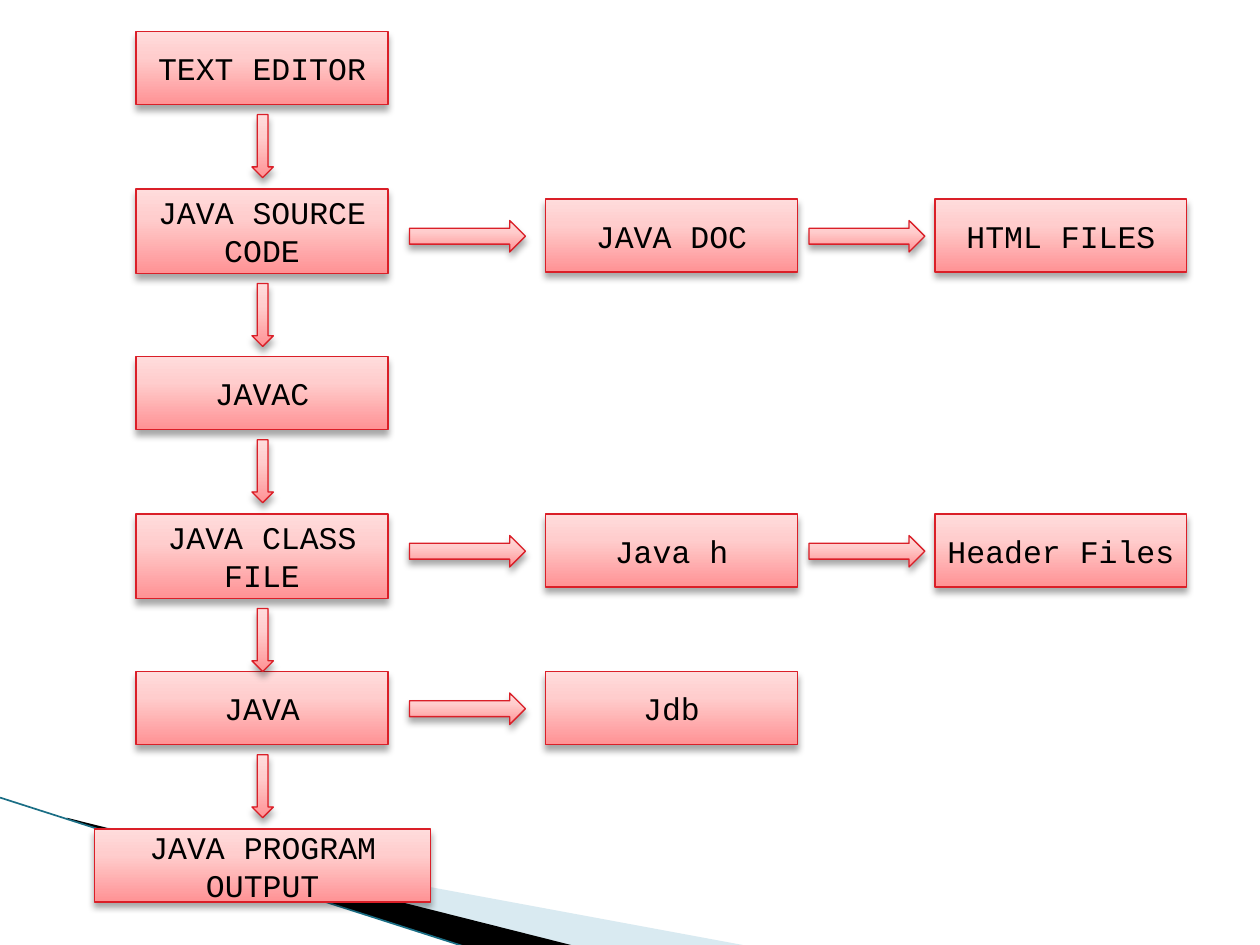
from copy import deepcopy

from lxml import etree
from pptx import Presentation
from pptx.dml.color import RGBColor
from pptx.enum.shapes import MSO_CONNECTOR, MSO_SHAPE
from pptx.enum.text import MSO_ANCHOR, PP_ALIGN
from pptx.oxml.ns import qn
from pptx.util import Inches, Pt

BLACK = RGBColor(0x00, 0x00, 0x00)
PALE_BLUE = RGBColor(0xA0, 0xCB, 0xDC)
TEAL = RGBColor(0x1A, 0x6E, 0x85)
RED = RGBColor(0xDA, 0x1F, 0x28)
PINK_STOPS = [
    (0, RGBColor(0xFF, 0x92, 0x94)),
    (0.65, RGBColor(0xFF, 0xCD, 0xCD)),
    (1, RGBColor(0xFF, 0xDC, 0xDC)),
]

BOX_WIDTH, BOX_HEIGHT, TALL_HEIGHT = 2, 0.58, 0.67
MAIN_LEFT, OUTPUT_LEFT, OUTPUT_WIDTH = 1.08, 0.75, 2.67
SIDE_LEFTS = (4.33, 7.42)
SIDE_ARROW_LEFTS = (3.25, 6.42)

MAIN_STEPS = [
    ("TEXT EDITOR", MAIN_LEFT, 0.25, BOX_WIDTH, BOX_HEIGHT),
    ("JAVA SOURCE CODE", MAIN_LEFT, 1.5, BOX_WIDTH, TALL_HEIGHT),
    ("JAVAC", MAIN_LEFT, 2.83, BOX_WIDTH, BOX_HEIGHT),
    ("JAVA CLASS FILE", MAIN_LEFT, 4.08, BOX_WIDTH, TALL_HEIGHT),
    ("JAVA", MAIN_LEFT, 5.33, BOX_WIDTH, BOX_HEIGHT),
    ("JAVA PROGRAM OUTPUT", OUTPUT_LEFT, 6.58, OUTPUT_WIDTH, BOX_HEIGHT),
]
SIDE_BRANCHES = [
    (1.58, ("JAVA DOC", "HTML FILES")),
    (4.08, ("Java h", "Header Files")),
    (5.33, ("Jdb",)),
]


def add_sub(parent, tag, **attributes):
    """Append a namespaced XML child with the given attributes."""
    return etree.SubElement(parent, qn(tag), attributes)


def add_wedge(slide, points, color, alpha=None):
    """Draw one filled wedge through points given in inches."""
    start, *rest = [(Inches(x), Inches(y)) for x, y in points]
    builder = slide.shapes.build_freeform(*start)
    builder.add_line_segments(rest, close=True)
    wedge = builder.convert_to_shape()
    wedge.shadow.inherit = False
    wedge.fill.solid()
    wedge.fill.fore_color.rgb = color
    wedge.line.fill.background()
    if alpha:
        rgb = wedge.fill._xPr.find(".//" + qn("a:srgbClr"))
        add_sub(rgb, "a:alpha", val=str(alpha * 1000))


def add_corner_decoration(slide):
    """Draw the wedges and the thin line in the lower left corner."""
    add_wedge(slide, [(0.55, 6.51), (5.95, 7.51), (4.56, 7.51), (0.55, 6.5)],
              PALE_BLUE, 40)
    add_wedge(slide, [(0.53, 6.49), (4.57, 7.51), (3.72, 7.52), (0.54, 6.5)],
              BLACK)
    edge = slide.shapes.add_connector(
        MSO_CONNECTOR.STRAIGHT, Inches(0), Inches(6.33),
        Inches(3.71), Inches(7.52))
    edge.line.color.rgb = TEAL
    edge.line.width = Pt(0.95)
    add_sub(edge._element.spPr, "a:effectLst")


def add_pink_shape(slide, preset, left, top, width, height):
    """Add a preset shape with the pink gradient, red line and soft shadow."""
    shape = slide.shapes.add_shape(
        preset, Inches(left), Inches(top), Inches(width), Inches(height))
    shape.fill.gradient()
    shape.fill.gradient_angle = 90
    stop_list = shape._element.spPr.find(".//" + qn("a:gsLst"))
    stop_list.insert(1, deepcopy(stop_list[0]))
    for stop, (position, color) in zip(shape.fill.gradient_stops, PINK_STOPS):
        stop.position = position
        stop.color.rgb = color
    shape.line.color.rgb = RED
    shape.line.width = Pt(0.75)
    shape.shadow.inherit = False
    effects = shape._element.spPr.find(qn("a:effectLst"))
    shadow = add_sub(effects, "a:outerShdw", blurRad=str(Pt(4)),
                     dist=str(Pt(3)), dir="5400000", rotWithShape="0")
    shadow_color = add_sub(shadow, "a:srgbClr", val=str(BLACK))
    add_sub(shadow_color, "a:alpha", val="35000")
    return shape


def add_step(slide, label, left, top, width, height):
    """Add one labelled box of the flow."""
    step = add_pink_shape(slide, MSO_SHAPE.RECTANGLE, left, top, width, height)
    frame = step.text_frame
    frame.word_wrap = True
    frame.vertical_anchor = MSO_ANCHOR.MIDDLE
    frame.margin_left = frame.margin_right = Inches(0.09)
    paragraph = frame.paragraphs[0]
    paragraph.text = label
    paragraph.alignment = PP_ALIGN.CENTER
    paragraph.font.name = "Courier New"
    paragraph.font.size = Pt(18)
    paragraph.font.color.rgb = BLACK


def add_main_flow(slide, steps):
    """Stack the main steps and put a down arrow below all but the last."""
    for step in steps:
        add_step(slide, *step)
    for _, left, top, width, height in steps[:-1]:
        add_pink_shape(slide, MSO_SHAPE.DOWN_ARROW, left + width / 2 - 0.08,
                       top + height + 0.08, 0.17, 0.5)


def add_branch(slide, top, labels):
    """Add a row of side steps, each led in by a right arrow."""
    arrow_top = top + BOX_HEIGHT / 2 - 0.12
    for label, left, arrow_left in zip(labels, SIDE_LEFTS, SIDE_ARROW_LEFTS):
        add_step(slide, label, left, top, BOX_WIDTH, BOX_HEIGHT)
        add_pink_shape(slide, MSO_SHAPE.RIGHT_ARROW, arrow_left, arrow_top,
                       0.92, 0.25)


def main():
    """Build the Java tool flow slide and save it."""
    presentation = Presentation()
    presentation.slide_width = Inches(10)
    presentation.slide_height = Inches(7.5)
    slide = presentation.slides.add_slide(presentation.slide_layouts[6])
    add_corner_decoration(slide)
    add_main_flow(slide, MAIN_STEPS)
    for top, labels in SIDE_BRANCHES:
        add_branch(slide, top, labels)
    presentation.save("out.pptx")


if __name__ == "__main__":
    main()
